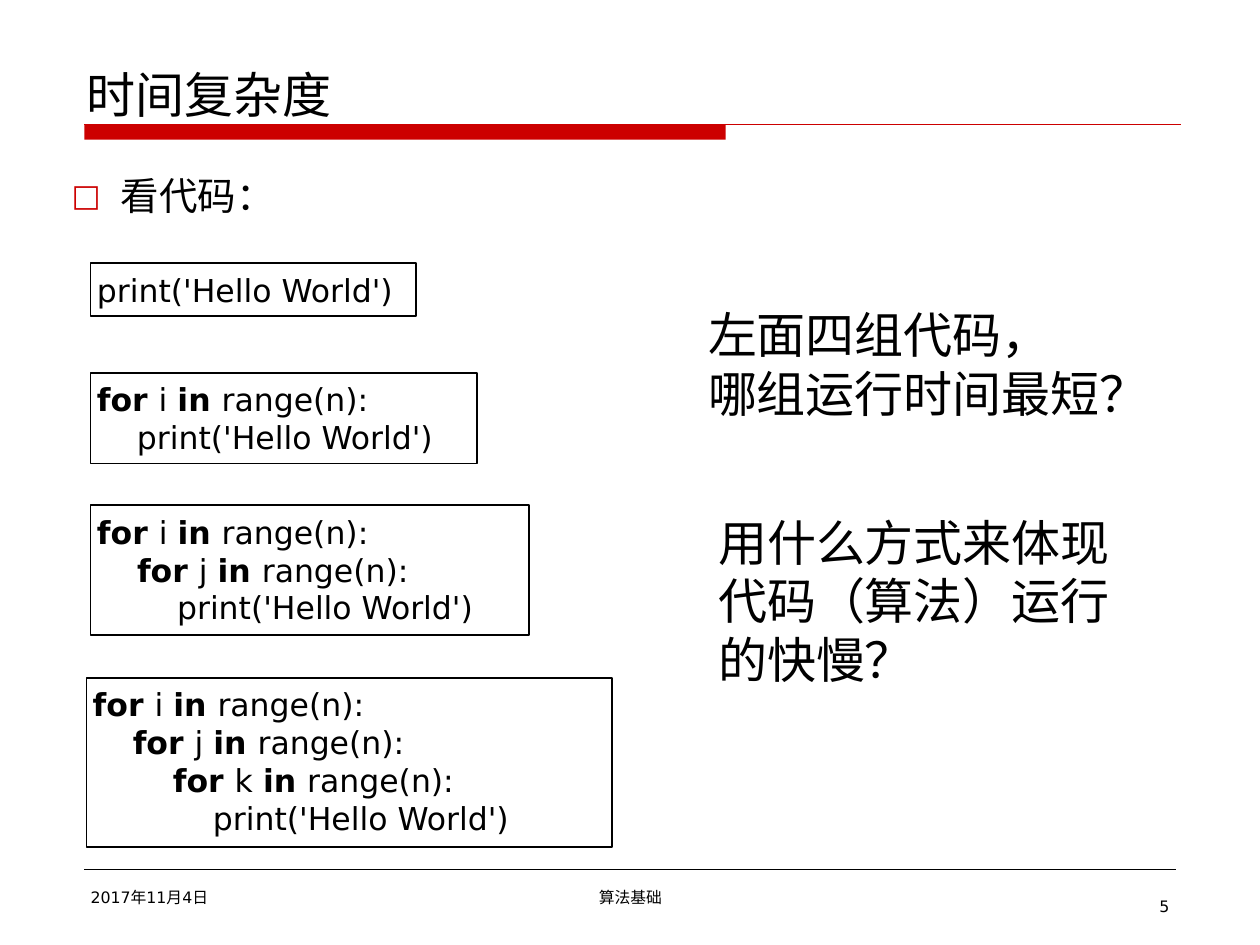
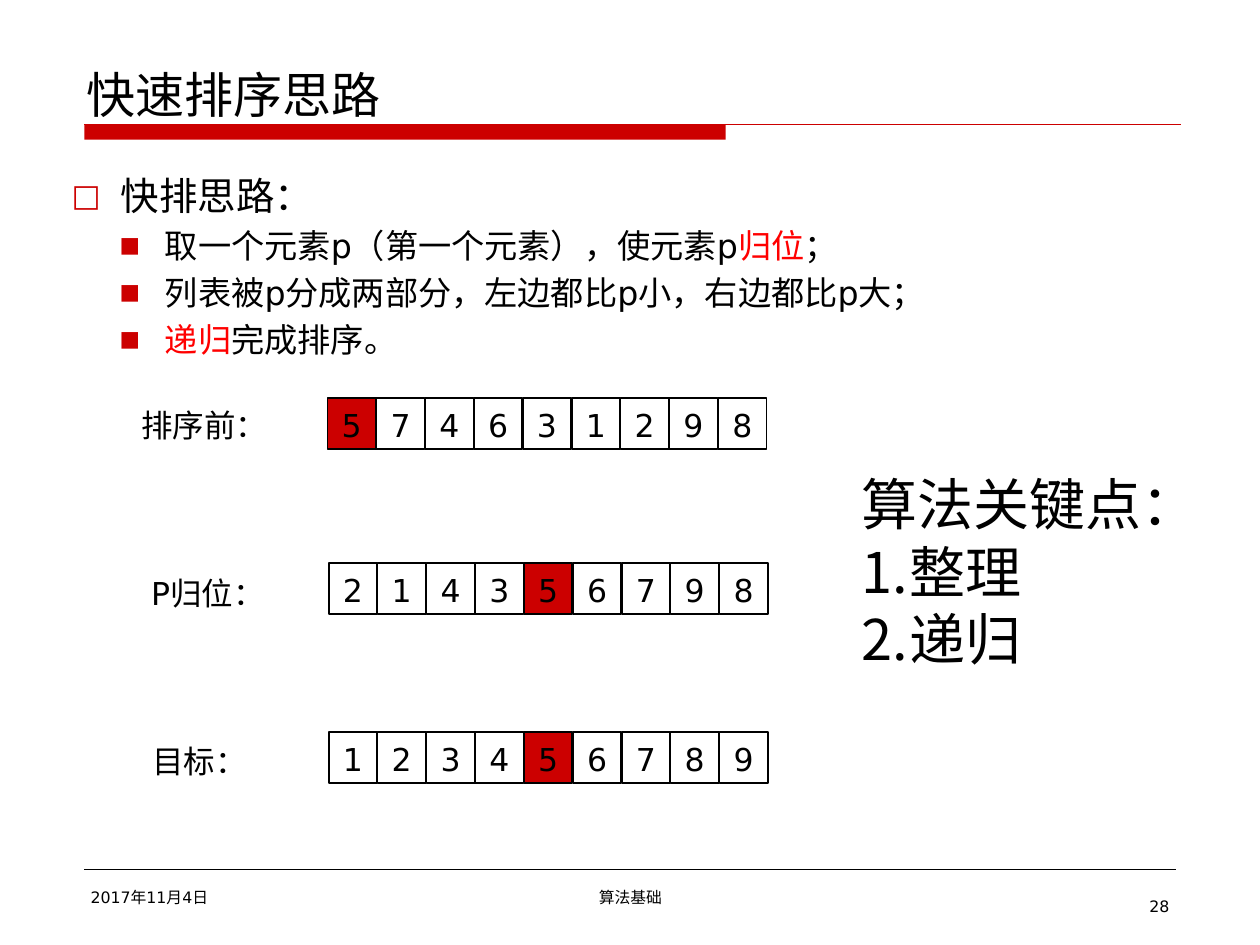
from dataclasses import dataclass
from itertools import groupby

from lxml.etree import SubElement
from pptx import Presentation
from pptx.dml.color import RGBColor
from pptx.enum.shapes import MSO_CONNECTOR, MSO_SHAPE
from pptx.enum.text import MSO_ANCHOR, MSO_AUTO_SIZE, PP_ALIGN
from pptx.oxml.ns import qn
from pptx.util import Pt

COLORS = {"band": "CC0000", "accent": "FF0000", "ink": "000000", "paper": "FFFFFF"}
LATIN, CHINESE = "DejaVu Sans", "Noto Sans CJK SC"
INSET = 3.6
LINE_HEIGHT = 1.2
CODE_INDENT = 22.9
CELL_PITCH, CELL_WIDTH, CELL_HEIGHT = 27.9, 27.6, 29
PIVOT = 5


@dataclass
class Para:
    """One paragraph; a span is a string or a (string, font values) pair."""
    spans: list
    size: float = 18
    margin: float = 0
    hang: float = 0
    before: float = 0
    level: int = 0
    align: PP_ALIGN = PP_ALIGN.LEFT
    bullet: str = ""
    bullet_percent: int = 100


def is_chinese(letter):
    return ord(letter) > 0x2E7F


def rgb(name):
    return RGBColor.from_string(COLORS[name])


def set_values(target, values):
    for name, value in values.items():
        setattr(target, name, value)


class LectureDeck:
    def __init__(self):
        self.deck = Presentation()
        set_values(self.deck, {"slide_width": Pt(720), "slide_height": Pt(540)})
        self.page = None

    # Pages and what they share
    def add_page(self, title, items, number):
        self.page = self.deck.slides.add_slide(self.deck.slide_layouts[1])
        self.rectangle((48.2, 71.3, 366.5, 8.6), "band")
        self.line(48.2, 674.6, 71.3, "band", 0.75)
        self.line(48.2, 671.8, 496.8, "ink", 0.25)
        self.placeholder(0, (46.1, 23.8, 630, 47.5), [Para([title], 28)], MSO_ANCHOR.BOTTOM)
        self.placeholder(1, (37.4, 92.9, 630, 391), items)
        self.text((48.2, 502.6, 156.2, 20.2), [Para(["2017年11月4日"], 9)])
        self.text((246.2, 502.6, 228.2, 20.2),
                  [Para(["算法基础"], 9, align=PP_ALIGN.CENTER)])
        width = 7.9 + 5.8 * len(number)
        self.text((671.8 - width, 508.3, width, 18),
                  [Para([number], 9, align=PP_ALIGN.RIGHT)], wrap=False)

    # Elements
    def line(self, left, right, top, color, weight):
        line = self.page.shapes.add_connector(
            MSO_CONNECTOR.STRAIGHT, Pt(left), Pt(top), Pt(right), Pt(top))
        line.line.color.rgb = rgb(color)
        line.line.width = Pt(weight)
        SubElement(line._element.spPr, qn("a:effectLst"))

    def rectangle(self, place, fill, paras=(), border=None, anchor=MSO_ANCHOR.TOP):
        box = self.page.shapes.add_shape(MSO_SHAPE.RECTANGLE, *map(Pt, place))
        box.shadow.inherit = False
        box.fill.solid()
        box.fill.fore_color.rgb = rgb(fill)
        if border:
            box.line.color.rgb = rgb(border)
            box.line.width = Pt(1)
        else:
            box.line.fill.background()
        if paras:
            self.fill_frame(box.text_frame, paras, anchor)

    def text(self, place, paras, wrap=True):
        box = self.page.shapes.add_textbox(*map(Pt, place))
        self.fill_frame(box.text_frame, paras, wrap=wrap)

    def placeholder(self, index, place, paras, anchor=MSO_ANCHOR.TOP):
        box = self.page.placeholders[index]
        set_values(box, dict(zip(("left", "top", "width", "height"), map(Pt, place))))
        self.fill_frame(box.text_frame, paras, anchor)

    def cells(self, left, top, numbers):
        for column, number in enumerate(numbers):
            self.rectangle(
                (left + column * CELL_PITCH, top, CELL_WIDTH, CELL_HEIGHT),
                "band" if number == PIVOT else "paper",
                [Para([str(number)], align=PP_ALIGN.CENTER)], "ink", MSO_ANCHOR.MIDDLE)

    # Text
    def fill_frame(self, frame, paras, anchor=MSO_ANCHOR.TOP, wrap=True):
        letters = "".join(span if isinstance(span, str) else span[0]
                          for para in paras for span in para.spans)
        # Fixed line heights lift the baseline; the insets bring it back
        drop = paras[0].size * (0.09 if any(map(is_chinese, letters)) else 0.04)
        set_values(frame, {
            "auto_size": MSO_AUTO_SIZE.NONE, "word_wrap": wrap, "vertical_anchor": anchor,
            "margin_left": Pt(INSET), "margin_right": Pt(INSET),
            "margin_top": Pt(INSET + drop), "margin_bottom": Pt(INSET - drop)})
        for index, para in enumerate(paras):
            target = frame.add_paragraph() if index else frame.paragraphs[0]
            self.fill_paragraph(target, para)

    def fill_paragraph(self, target, para):
        set_values(target, {
            "alignment": para.align, "level": para.level,
            "line_spacing": Pt(para.size * LINE_HEIGHT),
            "space_before": Pt(para.before), "space_after": Pt(0)})
        properties = target._p.get_or_add_pPr()
        properties.set("marL", str(Pt(para.margin)))
        properties.set("indent", str(-Pt(para.hang)))
        if para.bullet:
            self.add_bullet(properties, para)
        for span in para.spans:
            words, values = (span, {}) if isinstance(span, str) else span
            for chinese, letters in groupby(words, is_chinese):
                self.add_run(target, "".join(letters), para.size,
                             CHINESE if chinese else LATIN, **values)

    def add_run(self, target, words, size, name, color="ink", bold=False):
        run = target.add_run()
        run.text = words
        set_values(run.font, {"size": Pt(size), "bold": bold, "name": name})
        run.font.color.rgb = rgb(color)
        SubElement(run._r.get_or_add_rPr(), qn("a:ea"), typeface=CHINESE)

    def add_bullet(self, properties, para):
        numbered = para.bullet == "1."
        color = SubElement(properties, qn("a:buClr"))
        SubElement(color, qn("a:srgbClr"), val=COLORS["ink" if numbered else "band"])
        SubElement(properties, qn("a:buSzPct"), val=str(para.bullet_percent * 1000))
        SubElement(properties, qn("a:buFont"), typeface=LATIN)
        if numbered:
            SubElement(properties, qn("a:buAutoNum"), type="arabicPeriod")
        else:
            SubElement(properties, qn("a:buChar"), char=para.bullet)


# Paragraph styles
def topic(words):
    return Para([words], 22, 28.1, 28.1, 5, bullet="□", bullet_percent=80)


def detail(*spans):
    return Para(spans, 19, 53.3, 25.9, 4, level=1, bullet="■", bullet_percent=65)


def numbered_item(words):
    return Para([words], 32, 27.4, 27.4, bullet="1.")


def nested_loops(depth):
    """Code that prints inside the given number of loops."""
    keyword = {"bold": True}
    loops = [Para([("for ", keyword), f"{name} ", ("in ", keyword), "range(n):"],
                  margin=CODE_INDENT * level)
             for level, name in enumerate("ijk"[:depth])]
    return loops + [Para(["print('Hello World')"], margin=CODE_INDENT * depth)]


def time_complexity(lecture):
    lecture.add_page("时间复杂度", [topic("看代码：")], "5")
    # Code boxes, one more loop in each
    places = [(51.8, 150.5, 185.8, 30.2), (51.8, 213.1, 221, 51.8),
              (51.8, 288.7, 250.6, 74.2), (49.4, 387.4, 300.2, 96.5)]
    for depth, place in enumerate(places):
        lecture.rectangle(place, "paper", nested_loops(depth), "ink")
    # Questions
    lecture.text((401, 167.8, 245.5, 127.4),
                 [Para(["左面四组代码，"], 28), Para(["哪组运行时间最短？"], 28)])
    lecture.text((406.8, 286.6, 245.5, 127.4),
                 [Para(["用什么方式来体现代码（算法）运行的快慢？"], 28)])


def quick_sort(lecture):
    accent = {"color": "accent"}
    lecture.add_page("快速排序思路", [
        topic("快排思路："),
        detail("取一个元素p（第一个元素），使元素p", ("归位", accent), "；"),
        detail("列表被p分成两部分，左边都比p小，右边都比p大；"),
        detail(("递归", accent), "完成排序。")], "28")
    # Stages of the list, with the pivot marked
    stages = [("排序前：", 77, 226.8, 187.2, 227.5, (5, 7, 4, 6, 3, 1, 2, 9, 8)),
              ("P归位：", 82.8, 322.6, 187.9, 321.8, (2, 1, 4, 3, 5, 6, 7, 9, 8)),
              ("目标：", 83.5, 419, 187.9, 418.3, range(1, 10))]
    for label, label_left, label_top, left, top, numbers in stages:
        lecture.text((label_left, label_top, 87.8, 32.4), [Para([label])])
        lecture.cells(left, top, numbers)
    # Key points
    lecture.text((488.9, 262.1, 179.3, 187.2),
                 [Para(["算法关键点："], 32), numbered_item("整理"), numbered_item("递归")])


def main():
    lecture = LectureDeck()
    time_complexity(lecture)
    quick_sort(lecture)
    lecture.deck.save("out.pptx")


if __name__ == "__main__":
    main()
